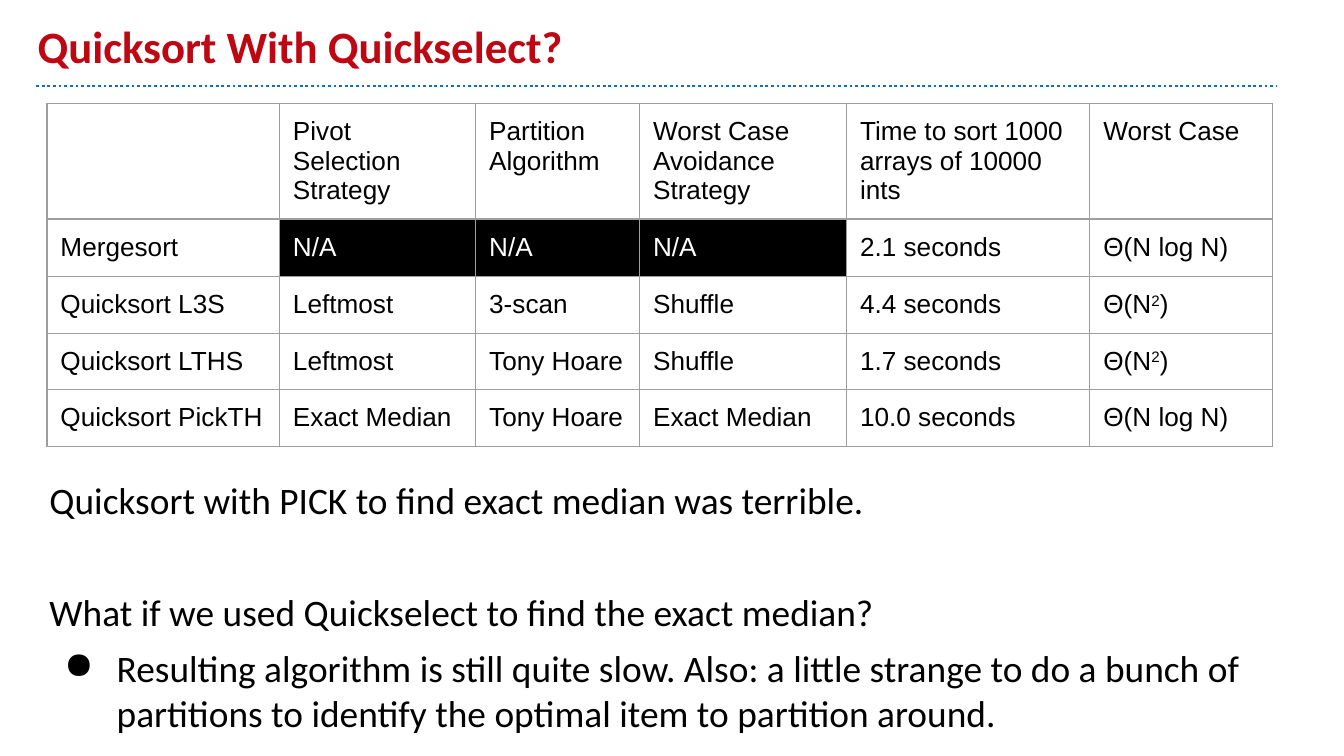
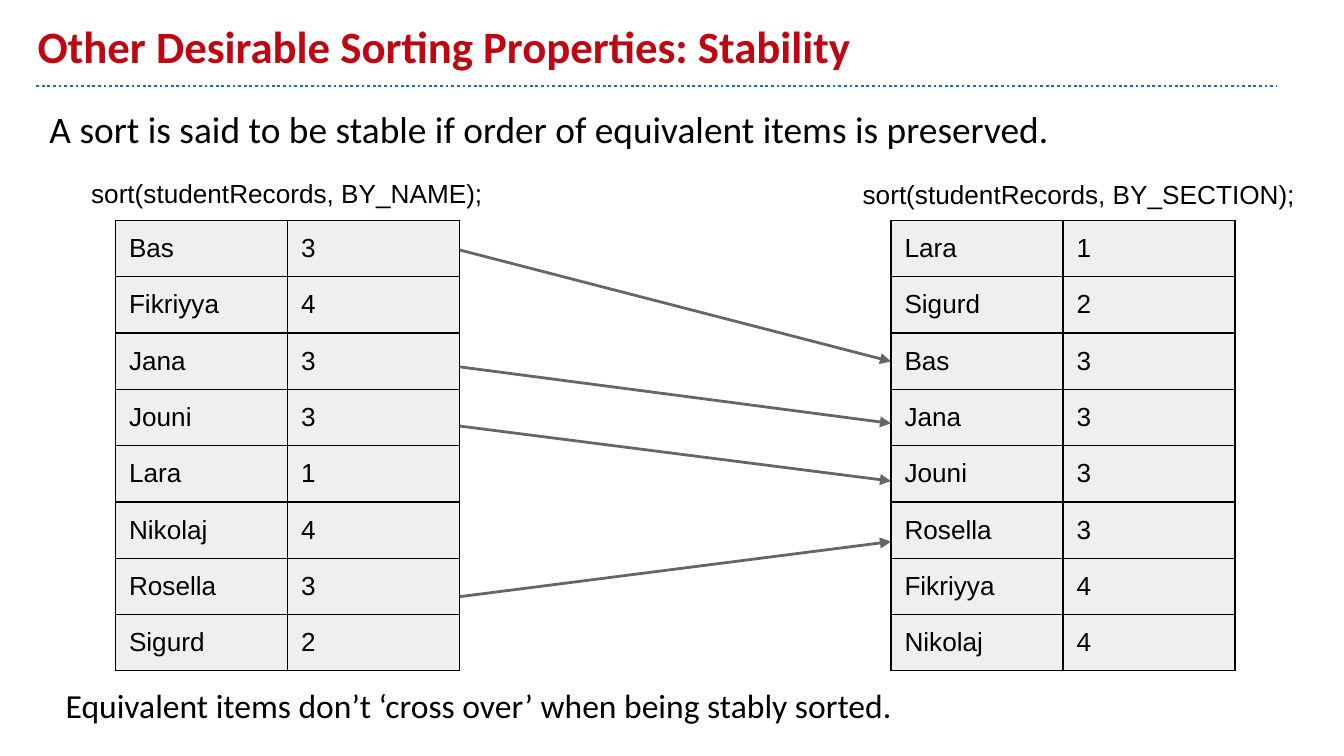
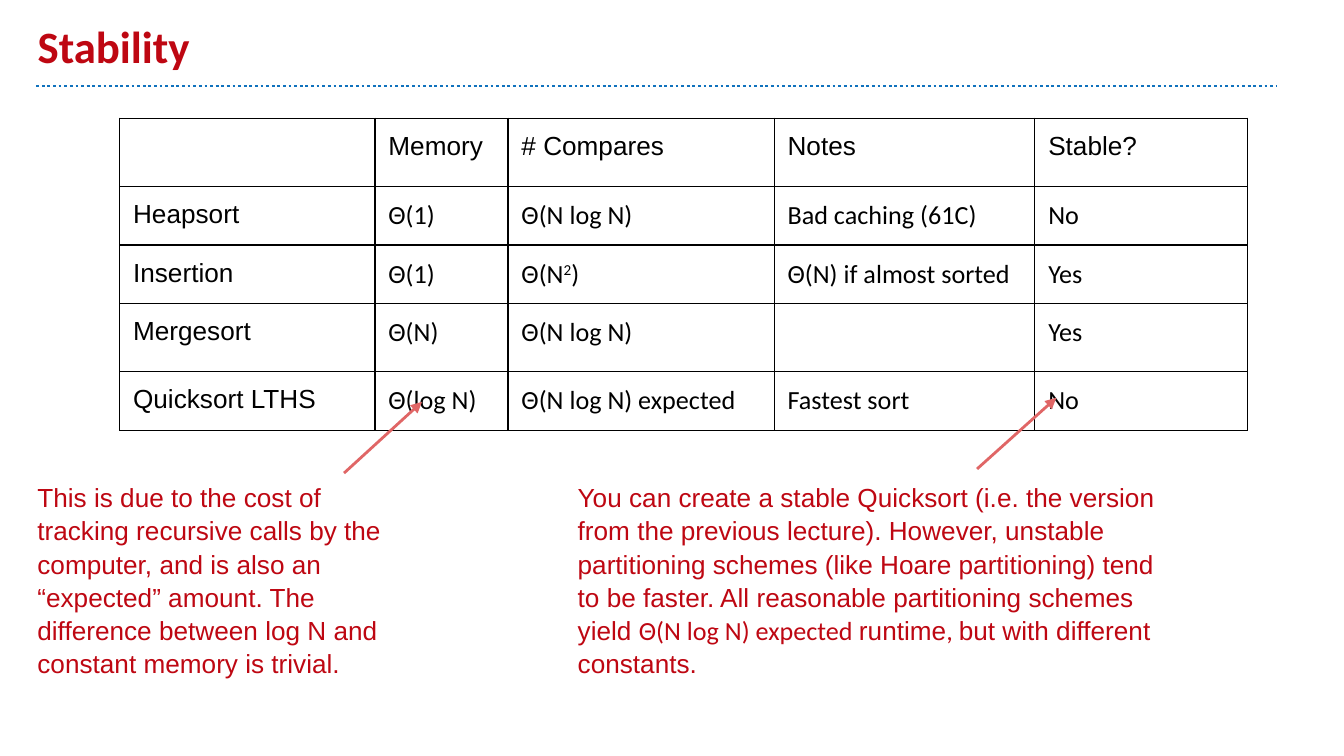
from lxml.etree import SubElement
from pptx import Presentation
from pptx.dml.color import RGBColor
from pptx.enum.dml import MSO_LINE
from pptx.enum.shapes import MSO_CONNECTOR
from pptx.enum.text import MSO_ANCHOR, MSO_AUTO_SIZE, PP_ALIGN
from pptx.oxml import parse_xml
from pptx.oxml.ns import nsdecls, qn
from pptx.util import Inches, Pt

WIDTH, HEIGHT = Inches(10), Inches(5.625)
INSET = Inches(0.1)
TITLE_ONLY = 5

RED = RGBColor(0xBE, 0x07, 0x12)
BLUE = RGBColor(0x10, 0x72, 0xBD)
SALMON = RGBColor(0xE0, 0x66, 0x66)
BLACK = RGBColor(0x00, 0x00, 0x00)
WHITE = RGBColor(0xFF, 0xFF, 0xFF)
PALE_GRAY = RGBColor(0xEF, 0xEF, 0xEF)
MID_GRAY = RGBColor(0x9E, 0x9E, 0x9E)
DARK_GRAY = RGBColor(0x66, 0x66, 0x66)

HEADING_FONT = "Calibri"
TABLE_FONT = "Arial"


def across(percent):
    return round(WIDTH * percent / 100)


def down(percent):
    return round(HEIGHT * percent / 100)


def area(left, top, width, height):
    return across(left), down(top), across(width), down(height)


def add_run(paragraph, text, size, font, color, bold=False):
    run = paragraph.add_run()
    run.text = text
    run.font.size = Pt(size)
    run.font.name = font
    run.font.color.rgb = color
    run.font.bold = bold
    return run


def prepare_frame(frame, anchor=MSO_ANCHOR.TOP):
    frame.word_wrap = True
    frame.auto_size = MSO_AUTO_SIZE.NONE
    frame.vertical_anchor = anchor
    frame.margin_left = frame.margin_right = INSET
    frame.margin_top = frame.margin_bottom = INSET


def add_line(slide, start, end, color, dotted=False):
    line = slide.shapes.add_connector(
        MSO_CONNECTOR.STRAIGHT,
        across(start[0]), down(start[1]), across(end[0]), down(end[1]))
    line.line.color.rgb = color
    line.line.width = Pt(1.5)
    properties = line._element.spPr
    if dotted:
        line.line.dash_style = MSO_LINE.ROUND_DOT
    else:
        SubElement(properties.find(qn("a:ln")), qn("a:tailEnd"), type="triangle")
    SubElement(properties, qn("a:effectLst"))


def add_titled_slide(deck, heading):
    slide = deck.slides.add_slide(deck.slide_layouts[TITLE_ONLY])
    add_line(slide, (2.7, 11.38), (95, 11.38), BLUE, dotted=True)
    title = slide.shapes.title
    title.left, title.top, title.width, title.height = area(1.8, 1.78, 90, 9.6)
    prepare_frame(title.text_frame, MSO_ANCHOR.BOTTOM)
    paragraph = title.text_frame.paragraphs[0]
    paragraph.alignment = PP_ALIGN.LEFT
    add_run(paragraph, heading, 24, HEADING_FONT, RED, bold=True)
    return slide


def add_text(slide, box, runs, size, color=BLACK, spacing=None):
    frame = slide.shapes.add_textbox(*area(*box)).text_frame
    prepare_frame(frame)
    paragraph = frame.paragraphs[0]
    paragraph.line_spacing = spacing
    for text, font in runs:
        add_run(paragraph, text, size, font, color)
    return frame


def add_statement(frame, text, space_before, bullet=False):
    paragraph = frame.add_paragraph()
    paragraph.space_before = Pt(space_before)
    add_run(paragraph, text, 20, HEADING_FONT, BLACK)
    if bullet:
        properties = paragraph._p.get_or_add_pPr()
        properties.set("marL", str(Inches(0.5)))
        properties.set("indent", str(Inches(-0.39)))
        SubElement(properties, qn("a:buChar"), char="●")


def set_borders(cell, color):
    properties = cell._tc.get_or_add_tcPr()
    for position, side in enumerate(("lnL", "lnR", "lnT", "lnB")):
        properties.insert(position, parse_xml(
            f'<a:{side} {nsdecls("a")} w="{Pt(0.75)}"><a:solidFill>'
            f'<a:srgbClr val="{color}"/></a:solidFill></a:{side}>'))


def fill_cell(cell, content, font, fill, border):
    unavailable = content == "N/A"
    cell.margin_left = cell.margin_right = INSET
    cell.margin_top = cell.margin_bottom = INSET
    cell.fill.solid()
    cell.fill.fore_color.rgb = BLACK if unavailable else fill
    set_borders(cell, border)
    for index, line in enumerate(content.split("\n")):
        frame = cell.text_frame
        paragraph = frame.add_paragraph() if index else frame.paragraphs[0]
        for part, text in enumerate(line.split("^")):
            if text:
                run = add_run(paragraph, text, 14, font, WHITE if unavailable else BLACK)
                if part % 2:
                    run.font._element.set("baseline", "30000")


def add_grid(slide, corner, columns, rows, records,
             border=BLACK, fill=WHITE, value_font=TABLE_FONT):
    box = area(*corner, sum(columns), sum(rows))
    table = slide.shapes.add_table(len(rows), len(columns), *box).table
    table.first_row = table.horz_banding = False
    for column, width in zip(table.columns, columns):
        column.width = across(width)
    for row, height in zip(table.rows, rows):
        row.height = down(height)
    for r, record in enumerate(records):
        for c, content in enumerate(record):
            font = value_font if r and c else TABLE_FONT
            fill_cell(table.cell(r, c), content, font, fill, border)


def build_quickselect(deck):
    slide = add_titled_slide(deck, "Quicksort With Quickselect?")
    statements = add_text(
        slide, (2.7, 61.33, 92.3, 30.22),
        [("Quicksort with PICK to find exact median was terrible.", HEADING_FONT)], 20)
    statements.paragraphs[0].space_before = Pt(6)
    add_statement(statements, "What if we used Quickselect to find the exact median?", 36)
    add_statement(
        statements,
        "Resulting algorithm is still quite slow. Also: a little strange to do a bunch of "
        "partitions to identify the optimal item to partition around.", 6, bullet=True)
    add_grid(
        slide, (3.5, 13.69), [17.3, 14.6, 12.2, 15.4, 18.1, 13.6],
        [15.29, 7.64] + [7.47] * 3,
        [("", "Pivot Selection Strategy", "Partition\nAlgorithm",
          "Worst Case Avoidance Strategy", "Time to sort 1000 arrays of 10000 ints",
          "Worst Case"),
         ("Mergesort", "N/A", "N/A", "N/A", "2.1 seconds", "Θ(N log N)"),
         ("Quicksort L3S", "Leftmost", "3-scan", "Shuffle", "4.4 seconds", "Θ(N^2^)"),
         ("Quicksort LTHS", "Leftmost", "Tony Hoare", "Shuffle", "1.7 seconds", "Θ(N^2^)"),
         ("Quicksort PickTH", "Exact Median", "Tony Hoare", "Exact Median",
          "10.0 seconds", "Θ(N log N)")],
        border=MID_GRAY)


def build_stable_sorting(deck):
    slide = add_titled_slide(deck, "Other Desirable Sorting Properties: Stability")
    definition = add_text(
        slide, (2.7, 12.27, 94.3, 80.71),
        [("A sort is said to be stable if order of equivalent items is preserved.",
          HEADING_FONT)], 20)
    definition.paragraphs[0].space_before = Pt(6)

    by_name = [("Bas", "3"), ("Fikriyya", "4"), ("Jana", "3"), ("Jouni", "3"),
               ("Lara", "1"), ("Nikolaj", "4"), ("Rosella", "3"), ("Sigurd", "2")]
    by_section = sorted(by_name, key=lambda student: student[1])
    for left, students, call, call_box in (
            (8.6, by_name, "sort(studentRecords, BY_NAME);", (5.8, 21.69, 33, 5.87)),
            (66.3, by_section, "sort(studentRecords, BY_SECTION);",
             (63.2, 21.87, 36.8, 5.87))):
        add_grid(slide, (left, 29.16), [12.8] * 2, [7.42] * len(students), students,
                 fill=PALE_GRAY)
        add_text(slide, call_box, [(call, TABLE_FONT)], 14)

    for before, after in ((33.07, 47.82), (48.53, 56), (56.36, 63.64), (78.93, 71.64)):
        add_line(slide, (34.2, before), (66.3, after), DARK_GRAY)
    add_text(
        slide, (3.9, 88.89, 96.1, 9.6),
        [("Equivalent items don’t ‘cross over’ when being stably sorted.", HEADING_FONT)], 18)


def build_stability_summary(deck):
    slide = add_titled_slide(deck, "Stability")
    add_grid(
        slide, (8.9, 15.64), [19, 9.9, 19.8, 19.4, 15.8],
        [8.53, 7.75, 7.75, 8.53, 7.75],
        [("", "Memory", "# Compares", "Notes", "Stable?"),
         ("Heapsort", "Θ(1)", "Θ(N log N)", "Bad caching (61C)", "No"),
         ("Insertion", "Θ(1)", "Θ(N^2^)", "Θ(N) if almost sorted", "Yes"),
         ("Mergesort", "Θ(N)", "Θ(N log N)", "", "Yes"),
         ("Quicksort LTHS", "Θ(log N)", "Θ(N log N) expected", "Fastest sort", "No")],
        value_font=HEADING_FONT)
    add_line(slide, (72.7, 62.04), (78.6, 52.62), SALMON)
    add_text(
        slide, (42, 61.69, 46.8, 24.36),
        [("You can create a stable Quicksort (i.e. the version from the previous lecture). "
          "However, unstable partitioning schemes (like Hoare partitioning) tend to be "
          "faster. All reasonable partitioning schemes yield ", TABLE_FONT),
         ("Θ(N log N) expected ", HEADING_FONT),
         ("runtime", TABLE_FONT),
         (", ", HEADING_FONT),
         ("but with different constants.", TABLE_FONT)],
        14, RED, spacing=1.06)
    add_line(slide, (25.6, 62.58), (31.4, 53.16), SALMON)
    add_text(
        slide, (1.8, 61.69, 29.6, 27.02),
        [("This is due to the cost of tracking recursive calls by the computer, and is also "
          "an “expected” amount. The difference between log N and constant memory is "
          "trivial.", TABLE_FONT)],
        14, RED, spacing=1.06)


def main():
    deck = Presentation()
    deck.slide_width, deck.slide_height = WIDTH, HEIGHT
    build_quickselect(deck)
    build_stable_sorting(deck)
    build_stability_summary(deck)
    deck.save("out.pptx")


if __name__ == "__main__":
    main()
